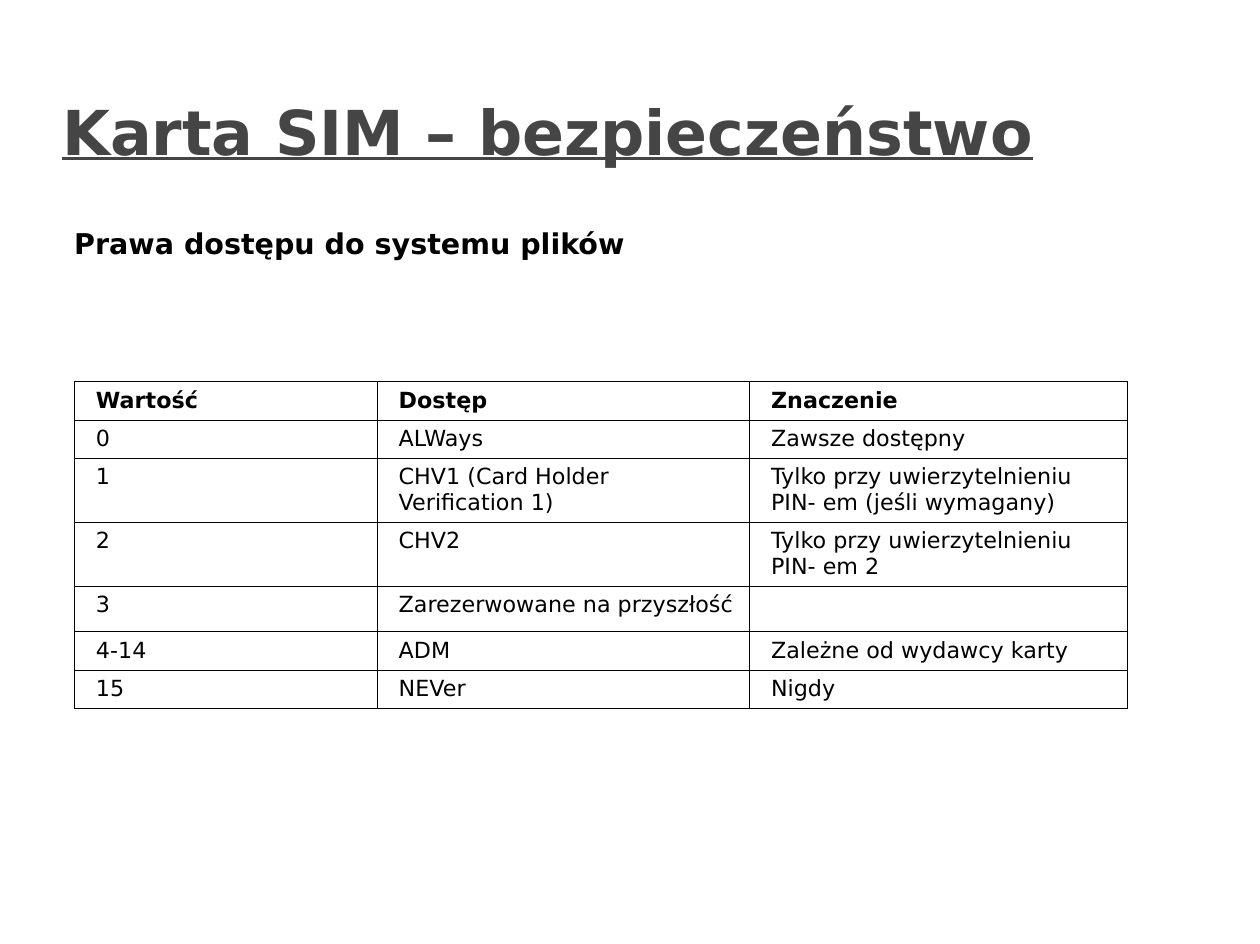
"""Builds a slide on SIM card security with a table of file access rights."""
from lxml import etree
from pptx import Presentation
from pptx.dml.color import RGBColor
from pptx.enum.text import PP_ALIGN
from pptx.oxml.ns import qn
from pptx.util import Inches, Pt

CENTER, LEFT = PP_ALIGN.CENTER, PP_ALIGN.LEFT
FONT = "DejaVu Sans"
COLORS = {"title": "454545", "text": "000000", "border": "000000"}
SLIDE_WIDTH, SLIDE_HEIGHT = 11.03, 8.26
LEFT_EDGE = 0.65
COLUMN_WIDTHS = [2.65, 3.26, 3.31]
LINE_HEIGHT, CELL_PADDING = 0.23, 0.1
WRAP_LENGTH = 30
ACCESS_RIGHTS = [
    ("Wartość", "Dostęp", "Znaczenie"),
    ("0", "ALWays", "Zawsze dostępny"),
    ("1", "CHV1 (Card Holder Verification 1)",
     "Tylko przy uwierzytelnieniu PIN- em (jeśli wymagany)"),
    ("2", "CHV2", "Tylko przy uwierzytelnieniu PIN- em 2"),
    ("3", "Zarezerwowane na przyszłość", ""),
    ("4-14", "ADM", "Zależne od wydawcy karty"),
    ("15", "NEVer", "Nigdy"),
]


def style_font(paragraph, size, color, bold=False, underline=False):
    font = paragraph.font
    font.name, font.size = FONT, Pt(size)
    font.bold, font.underline = bold, underline
    font.color.rgb = RGBColor.from_string(COLORS[color])


def add_heading(slide, text, box, size, color, align=LEFT, top_inset=0, underline=False):
    shape = slide.shapes.add_textbox(*map(Inches, box))
    frame = shape.text_frame
    frame.word_wrap = True
    frame.margin_left = frame.margin_right = frame.margin_bottom = 0
    frame.margin_top = Inches(top_inset)
    paragraph = frame.paragraphs[0]
    paragraph.text = text
    paragraph.alignment = align
    style_font(paragraph, size, color, bold=True, underline=underline)


def add_borders(cell):
    properties = cell._tc.get_or_add_tcPr()
    for position, side in enumerate(("lnL", "lnR", "lnT", "lnB")):
        line = etree.Element(qn(f"a:{side}"), w=str(Pt(0.45)))
        fill = etree.SubElement(line, qn("a:solidFill"))
        etree.SubElement(fill, qn("a:srgbClr"), val=COLORS["border"])
        properties.insert(position, line)


def fill_cell(cell, text, bold):
    cell.fill.background()
    add_borders(cell)
    if not text:
        return
    paragraph = cell.text_frame.paragraphs[0]
    paragraph.text = text
    paragraph._p.get_or_add_pPr().set("marL", str(Inches(0.09)))
    style_font(paragraph, 14, "text", bold)
    if len(text) > WRAP_LENGTH:
        paragraph.line_spacing = Pt(16.4)


def row_height(texts):
    lines = 2 if max(map(len, texts)) > WRAP_LENGTH else 1
    return lines * LINE_HEIGHT + CELL_PADDING


def add_access_table(slide, top):
    heights = [row_height(texts) for texts in ACCESS_RIGHTS]
    box = (LEFT_EDGE, top, sum(COLUMN_WIDTHS), sum(heights))
    table = slide.shapes.add_table(
        len(heights), len(COLUMN_WIDTHS), *map(Inches, box)).table
    table.first_row = table.horz_banding = False
    for column, width in zip(table.columns, COLUMN_WIDTHS):
        column.width = Inches(width)
    for index, (row, texts) in enumerate(zip(table.rows, ACCESS_RIGHTS)):
        row.height = Inches(heights[index])
        for cell, text in zip(row.cells, texts):
            fill_cell(cell, text, bold=index == 0)


def main():
    presentation = Presentation()
    presentation.slide_width = Inches(SLIDE_WIDTH)
    presentation.slide_height = Inches(SLIDE_HEIGHT)
    slide = presentation.slides.add_slide(presentation.slide_layouts[6])
    add_heading(slide, "Karta SIM – bezpieczeństwo", (0.41, 0.48, 8.77, 1.19),
                39, "title", CENTER, top_inset=0.34, underline=True)
    add_heading(slide, "Prawa dostępu do systemu plików",
                (LEFT_EDGE, 1.98, 4.84, 0.3), 18, "text")
    add_access_table(slide, 3.34)
    presentation.save("out.pptx")


if __name__ == "__main__":
    main()
